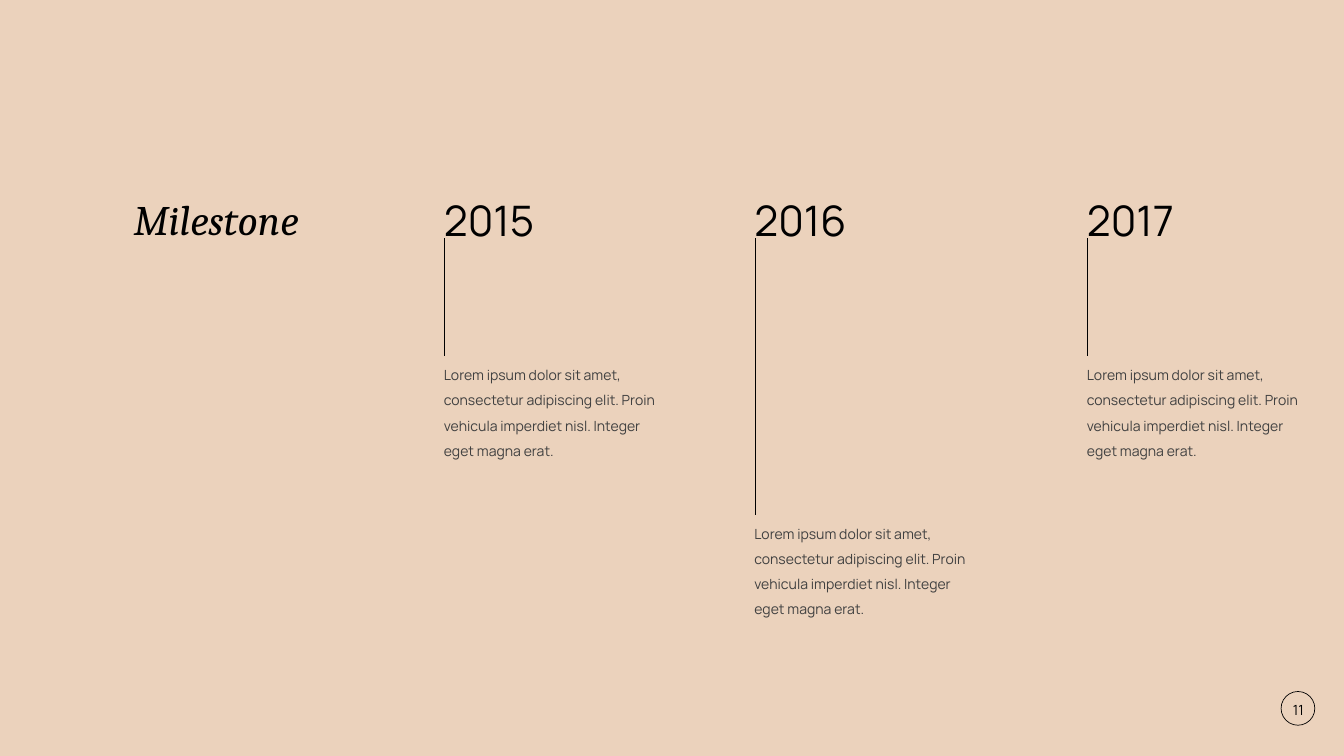
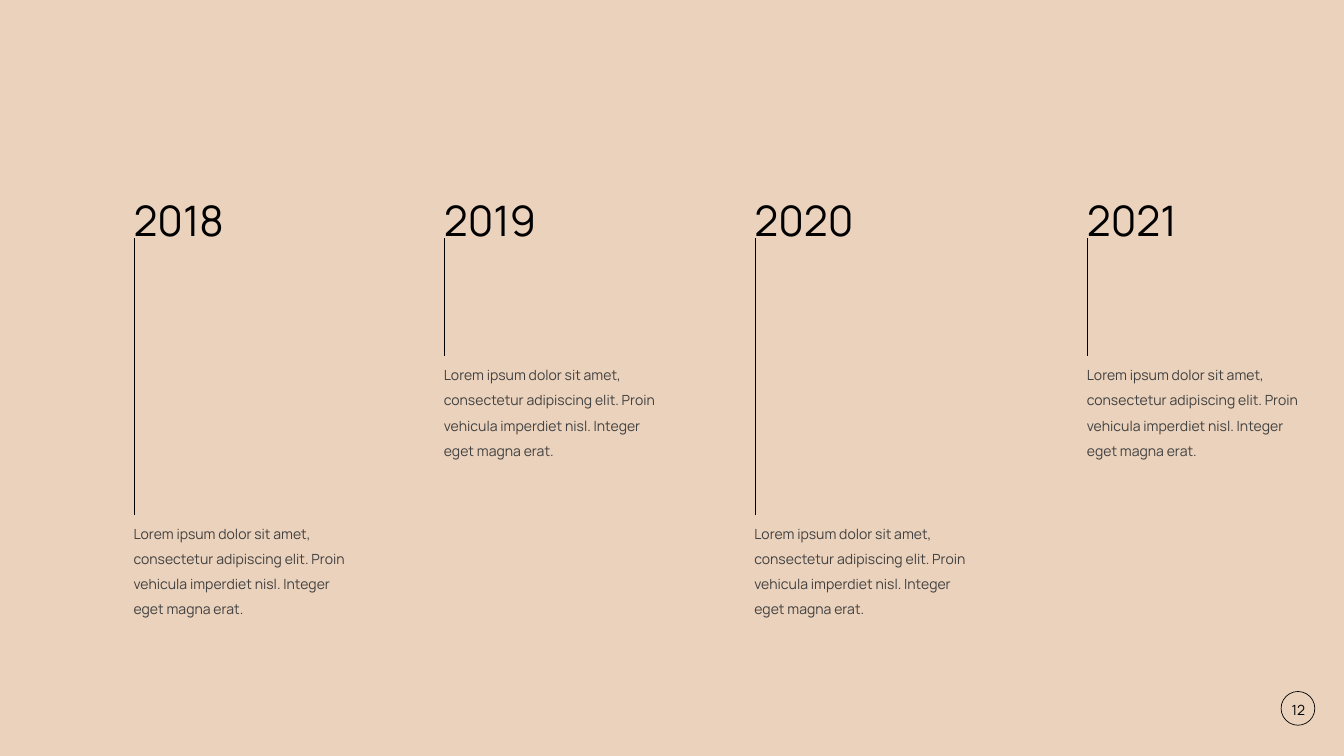
from lxml import etree
from pptx import Presentation
from pptx.dml.color import RGBColor
from pptx.enum.shapes import MSO_CONNECTOR, MSO_SHAPE
from pptx.enum.text import MSO_ANCHOR, MSO_AUTO_SIZE, PP_ALIGN
from pptx.oxml.ns import qn
from pptx.util import Cm, Pt

STRAIGHT = MSO_CONNECTOR.STRAIGHT
OVAL = MSO_SHAPE.OVAL
MIDDLE = MSO_ANCHOR.MIDDLE
FIT_SHAPE = MSO_AUTO_SIZE.SHAPE_TO_FIT_TEXT
CENTER = PP_ALIGN.CENTER

SAND = RGBColor(0xEB, 0xD2, 0xBC)
BLACK = RGBColor(0, 0, 0)
GRAY = RGBColor(0x40, 0x40, 0x40)

TITLE = {"name": "Cambria", "size": Pt(60), "italic": True}
YEAR = {"name": "Manrope", "size": Pt(60)}
BODY = {"name": "Manrope", "size": Pt(20)}

COLUMN_LEFTS = [6.48, 22.12, 37.77, 54.53]
YEAR_TOP = 8.43
LINE_TOP = 11.99
TEXT_TOPS = [25.93, 17.93]  # long and short stems alternate
STEM_INSET = 0.29
BADGE_LEFT, BADGE_TOP, BADGE_SIZE = 64.57, 34.85, 1.7

DESCRIPTION = (
    "Lorem ipsum dolor sit amet, consectetur adipiscing elit. "
    "Proin vehicula imperdiet nisl. Integer eget magna erat."
)
TIMELINES = [
    (11, [None, "2015", "2016", "2017"]),
    (12, ["2018", "2019", "2020", "2021"]),
]


def add_text(slide, text, left, top, width, height, font_format, color=BLACK):
    box = slide.shapes.add_textbox(Cm(left), Cm(top), Cm(width), Cm(height))
    frame = box.text_frame
    frame.word_wrap = True
    frame.auto_size = FIT_SHAPE
    paragraph = frame.paragraphs[0]
    paragraph.text = text
    paragraph.line_spacing = 1.5
    font = paragraph.runs[0].font
    for attribute, value in font_format.items():
        setattr(font, attribute, value)
    font.color.rgb = color
    return frame


presentation = Presentation()
presentation.slide_width = Cm(67.74)
presentation.slide_height = Cm(38.1)

for page_number, years in TIMELINES:
    slide = presentation.slides.add_slide(presentation.slide_layouts[6])
    slide.background.fill.solid()
    slide.background.fill.fore_color.rgb = SAND

    number_frame = add_text(
        slide, str(page_number), BADGE_LEFT, BADGE_TOP, 1.75, 1.42, BODY
    )
    number_frame.auto_size = MSO_AUTO_SIZE.NONE
    number_frame.vertical_anchor = MIDDLE
    number_frame.paragraphs[0].alignment = CENTER

    badge = slide.shapes.add_shape(
        OVAL, Cm(BADGE_LEFT), Cm(BADGE_TOP), Cm(BADGE_SIZE), Cm(BADGE_SIZE)
    )
    badge.shadow.inherit = False
    badge.fill.background()
    badge.line.color.rgb = BLACK
    badge.line.width = Pt(1)

    for column, (left, year) in enumerate(zip(COLUMN_LEFTS, years)):
        if year is None:
            add_text(slide, "Milestone", left, 8.36, 15.65, 3.63, TITLE)
            continue
        text_top = TEXT_TOPS[column % 2]
        add_text(slide, year, left, YEAR_TOP, 8.74, 3.73, YEAR)
        add_text(slide, DESCRIPTION, left, text_top, 11.76, 5.26, BODY, GRAY)

        stem_left = Cm(left + STEM_INSET)
        stem = slide.shapes.add_connector(
            STRAIGHT, stem_left, Cm(text_top), stem_left, Cm(LINE_TOP)
        )
        stem.line.color.rgb = BLACK
        stem.line.width = Pt(1)
        etree.SubElement(stem._element.spPr, qn("a:effectLst"))

presentation.save("out.pptx")
